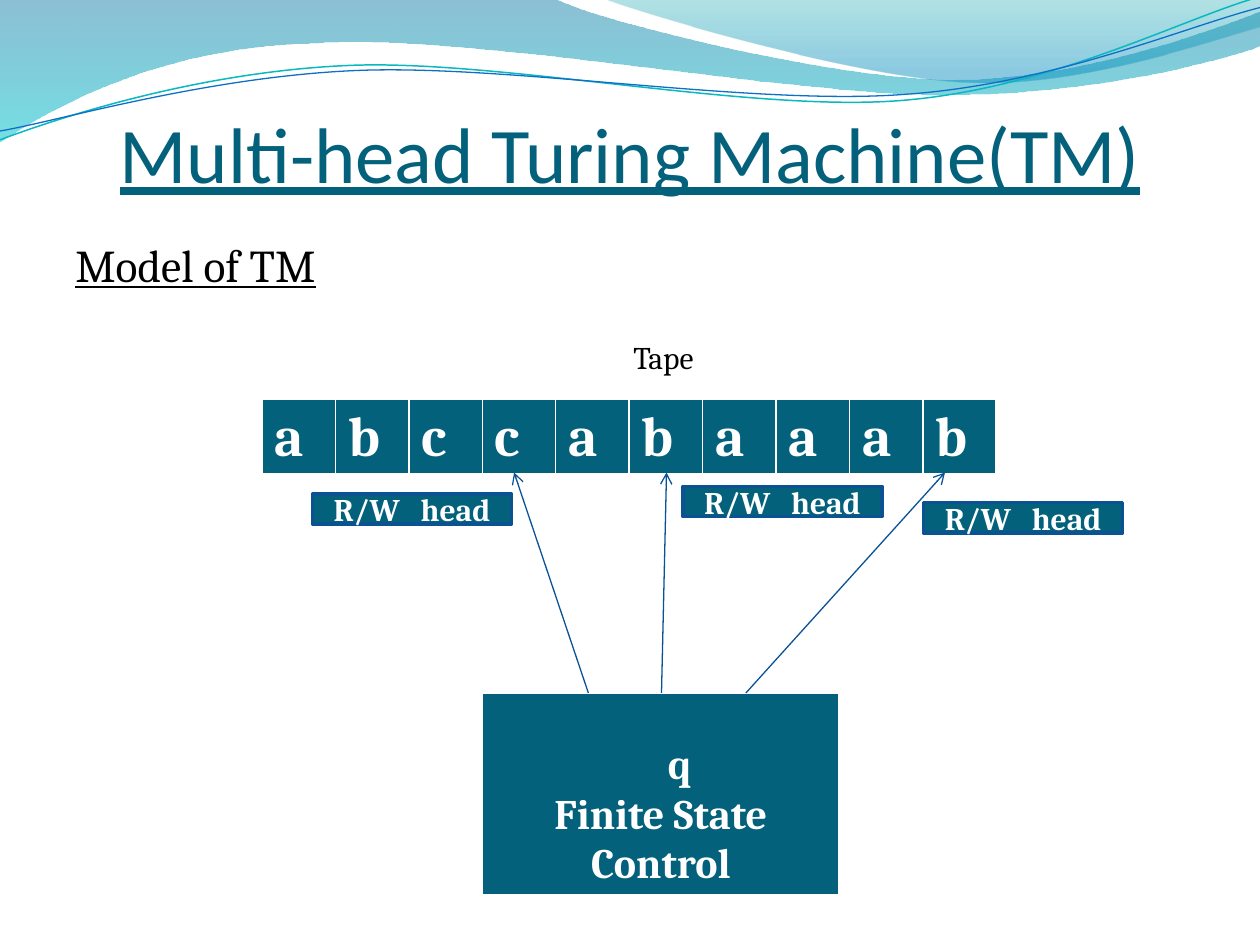
from dataclasses import dataclass

from lxml import etree
from pptx import Presentation
from pptx.dml import color
from pptx.enum import shapes, text
from pptx.oxml import ns
from pptx.util import Inches, Pt


@dataclass(frozen=True)
class Theme:
    teal: str = "04617B"
    edge: str = "0B5292"
    arrow: str = "095295"
    white: str = "FFFFFF"
    black: str = "000000"
    wave: tuple = ((0, "0074A1", 45), (1, "00C6CF", 55))
    corner: tuple = ((0, "00A1A9", 30), (0.8, "008BBF", 45))
    light_strand: str = "0AB8BF"
    dark_strand: str = "0F6FC6"
    heading: str = "Calibri"
    body: str = "Cambria"
    title_size: int = 45
    subtitle_size: int = 26
    cell_size: int = 32
    state_size: int = 24
    label_size: int = 18


T = Theme()
CENTER = text.PP_ALIGN.CENTER
MIDDLE = text.MSO_ANCHOR.MIDDLE


def rgb(value):
    return color.RGBColor.from_string(value)


def sub(parent, tag, **attrs):
    return etree.SubElement(parent, ns.qn(tag), **attrs)


def style(p, size, ink, name=T.body, bold=False, underline=False, align=None):
    p.alignment = align
    for r in p.runs:
        r.font.size = Pt(size)
        r.font.name = name
        r.font.bold = bold
        r.font.underline = underline
        r.font.color.rgb = rgb(ink)


def add_text(s, box, words, size, ink, anchor, insets, **look):
    tf = s.shapes.add_textbox(*map(Inches, box)).text_frame
    tf.word_wrap = True
    tf.vertical_anchor = anchor
    tf.margin_left, tf.margin_top, tf.margin_right, tf.margin_bottom = map(Inches, insets)
    tf.text = words
    style(tf.paragraphs[0], size, ink, **look)


def add_outline(s, start, segments, close):
    points = [(Inches(x), Inches(y)) for seg in segments
              for x, y in zip(seg[::2], seg[1::2])]
    builder = s.shapes.build_freeform(Inches(start[0]), Inches(start[1]))
    builder.add_line_segments(points, close=close)
    sp = builder.convert_to_shape()
    sp.shadow.inherit = False
    nodes = iter(list(sp._element.iter(ns.qn("a:lnTo"))))
    for seg in segments:
        node = next(nodes)
        if len(seg) == 6:
            curve = etree.Element(ns.qn("a:cubicBezTo"))
            node.addprevious(curve)
            for part in (node, next(nodes), next(nodes)):
                curve.append(part[0])
                part.getparent().remove(part)
    return sp


def add_wave(s, start, segments, stops):
    sp = add_outline(s, start, segments, True)
    sp.line.fill.background()
    sp.fill.gradient()
    sp.fill.gradient_angle = 270
    for stop, (position, ink, _) in zip(sp.fill.gradient_stops, stops):
        stop.position = position
        stop.color.rgb = rgb(ink)
    for node, (_, _, opacity) in zip(sp._element.spPr.iter(ns.qn("a:srgbClr")), stops):
        sub(node, "a:alpha", val=str(opacity * 1000))


def add_strand(s, start, segments, ink, width):
    sp = add_outline(s, start, segments, False)
    sp.fill.background()
    sp.line.color.rgb = rgb(ink)
    sp.line.width = Pt(width)


def add_waves(s):
    add_wave(s, (0, 0), [(4.4, -0.01),
                         (4.76, 0.17, 6.64, 0.63, 7.58, 0.63),
                         (8.53, 0.63, 9.58, 0.26, 10, 0.09),
                         (10.01, 0.36),
                         (9.83, 0.44, 8.7, 0.76, 7.46, 0.75),
                         (6.22, 0.75, 3.82, 0.28, 2.57, 0.34),
                         (1.29, 0.36, 0.46, 0.83, -0.01, 1.13)], T.wave)
    add_wave(s, (4.79, -0.01), [(5.09, 0.11, 6.82, 0.62, 7.69, 0.65),
                                (8.56, 0.69, 9.61, 0.32, 10, 0.21),
                                (10, 0)], T.corner)
    add_strand(s, (0, 1.11), [(0.48, 0.93, 1.58, 0.57, 2.77, 0.52),
                              (3.95, 0.47, 5.93, 0.89, 7.13, 0.8),
                              (8.33, 0.71, 9.38, 0.15, 9.98, -0.02)],
               T.light_strand, 0.85)
    add_strand(s, (0, 1.04), [(0.47, 0.96, 1.64, 0.61, 2.83, 0.56),
                              (4.03, 0.51, 5.97, 0.84, 7.17, 0.75),
                              (8.36, 0.67, 9.41, 0.21, 10, 0.06)],
               T.dark_strand, 0.75)


def add_borders(cell):
    tcPr = cell._tc.get_or_add_tcPr()
    for i, (side, width) in enumerate((("L", 1), ("R", 1), ("T", 1), ("B", 3))):
        ln = etree.Element(ns.qn("a:ln" + side), w=str(Pt(width)))
        sub(sub(ln, "a:solidFill"), "a:srgbClr", val=T.white)
        tcPr.insert(i, ln)


def add_row(s, box, words, size, top, bottom):
    table = s.shapes.add_table(1, len(words), *map(Inches, box)).table
    table.horz_banding = False
    for cell, word in zip(table.rows[0].cells, words):
        cell.text = word
        cell.margin_top, cell.margin_bottom = Inches(top), Inches(bottom)
        cell.fill.solid()
        cell.fill.fore_color.rgb = rgb(T.teal)
        add_borders(cell)
        for p in cell.text_frame.paragraphs:
            style(p, size, T.white, bold=True)
    return table


def add_control(s):
    table = add_row(s, (3.83, 5.5, 2.83, 1.59), ["q\nFinite State Control"],
                    T.state_size, 0.39, 0.01)
    state, caption = table.cell(0, 0).text_frame.paragraphs
    state._p.get_or_add_pPr().set("marL", str(Inches(1.37)))
    caption.alignment = CENTER
    caption.space_before = Pt(1)


def add_head(s, left, top):
    sp = s.shapes.add_shape(shapes.MSO_SHAPE.RECTANGLE,
                            *map(Inches, (left, top, 1.58, 0.24)))
    sp.shadow.inherit = False
    sp.fill.solid()
    sp.fill.fore_color.rgb = rgb(T.teal)
    sp.line.color.rgb = rgb(T.edge)
    sp.line.width = Pt(2)
    tf = sp.text_frame
    tf.word_wrap = True
    tf.vertical_anchor = MIDDLE
    tf.text = "R/W   head"
    style(tf.paragraphs[0], T.label_size, T.white, bold=True, align=CENTER)


def add_arrow(s, start, end):
    line = s.shapes.add_connector(shapes.MSO_CONNECTOR.STRAIGHT,
                                  *map(Inches, start + end))
    line.line.color.rgb = rgb(T.arrow)
    line.line.width = Pt(0.75)
    sub(line.line._get_or_add_ln(), "a:tailEnd", type="arrow")
    sub(line._element.spPr, "a:effectLst")


def main():
    prs = Presentation()
    prs.slide_width, prs.slide_height = Inches(10), Inches(7.5)
    s = prs.slides.add_slide(prs.slide_layouts[6])
    add_waves(s)
    add_text(s, (0.5, 0.77, 9, 0.81), "Multi-head Turing Machine(TM)", T.title_size,
             T.teal, text.MSO_ANCHOR.BOTTOM, (0, 0.05, 0, 0),
             name=T.heading, underline=True, align=CENTER)
    add_text(s, (0.5, 1.83, 9, 5.42), "Model of TM", T.subtitle_size, T.black,
             text.MSO_ANCHOR.TOP, (0.1, 0.05, 0.1, 0.05), underline=True)
    add_row(s, (2.08, 3.17, 5.83, 0.6), "abccabaaab", T.cell_size, 0.05, 0.02)
    add_control(s)
    for left, top in ((2.48, 3.92), (5.42, 3.86), (7.33, 3.99)):
        add_head(s, left, top)
    for base, tip in ((5.25, 5.29), (4.67, 4.08), (5.92, 7.5)):
        add_arrow(s, (base, 5.5), (tip, 3.75))
    add_text(s, (4.13, 2.58, 2.27, 0.5), "Tape", T.label_size, T.black,
             MIDDLE, (0.1, 0.05, 0.1, 0.05), align=CENTER)
    prs.save("out.pptx")


main()
